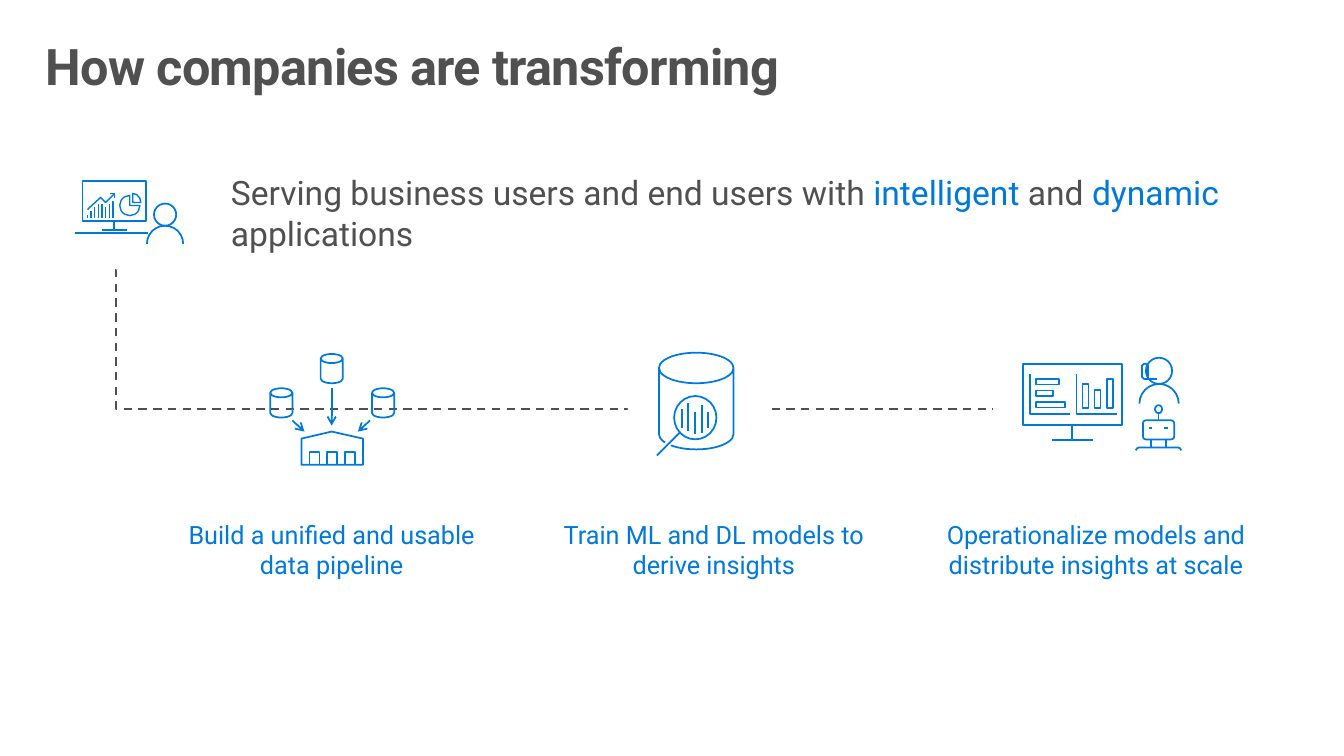
import pptx
import pptx.util
import pptx.dml.color
import pptx.enum.dml
import pptx.enum.shapes
import pptx.enum.text
import pptx.oxml
import pptx.oxml.ns
from lxml import etree

Cm = pptx.util.Cm
Pt = pptx.util.Pt
SHAPE = pptx.enum.shapes.MSO_SHAPE
CONNECTOR = pptx.enum.shapes.MSO_CONNECTOR
ALIGN = pptx.enum.text.PP_ALIGN
ANCHOR = pptx.enum.text.MSO_ANCHOR
GRAY = pptx.dml.color.RGBColor(0x50, 0x50, 0x50)
BLUE = pptx.dml.color.RGBColor(0x00, 0x78, 0xD7)
WHITE = pptx.dml.color.RGBColor(0xFF, 0xFF, 0xFF)
FONT = "Roboto"
STEP = 0.0254  # icon grid step in centimetres
RIGHT, TOP_TURN, HALF_TURN = 0, 162, 108  # preset angles


def sub(parent, tag, **attrs):
    return etree.SubElement(parent, pptx.oxml.ns.qn(tag), **attrs)


def connect(shapes, kind, start, end, color, width):
    c = shapes.add_connector(kind, *start, *end)
    c.line.color.rgb, c.line.width = color, Pt(width)
    sub(c._element.spPr, "a:effectLst")
    return c


def add_text(s, box, runs, size, anchor=ANCHOR.TOP, align=ALIGN.LEFT,
             insets=(0, 0), **formats):
    tf = s.shapes.add_textbox(*map(Cm, box)).text_frame
    mx, my = map(Cm, insets)
    frame = {"word_wrap": True, "vertical_anchor": anchor, "margin_left": mx,
             "margin_right": mx, "margin_top": my, "margin_bottom": my}
    for name, value in frame.items():
        setattr(tf, name, value)
    p = tf.paragraphs[0]
    p.alignment = align
    for text, color in runs:
        r = p.add_run()
        r.text = text
        r.font.color.rgb = color
        for name, value in {"name": FONT, "size": Pt(size), **formats}.items():
            setattr(r.font, name, value)
    return p


class Icon:
    """A group of outlines placed on a fine grid from the box corner."""

    def __init__(self, s, left, top):
        self.shapes = s.shapes.add_group_shape().shapes
        self.left, self.top = left, top

    def point(self, x, y):
        return Cm(self.left + x * STEP), Cm(self.top + y * STEP)

    def outline(self, sp, width=1.25):
        sp.shadow.inherit = False
        sp.fill.background()
        sp.line.color.rgb, sp.line.width = BLUE, Pt(width)

    def preset(self, kind, x, y, w, h, width=1.25, adjust=()):
        sp = self.shapes.add_shape(kind, *self.point(x, y), Cm(w * STEP), Cm(h * STEP))
        self.outline(sp, width)
        for i, value in enumerate(adjust):
            sp.adjustments[i] = value
        return sp

    def mask(self, x, y, w, h):
        sp = self.preset(SHAPE.RECTANGLE, x, y, w, h)
        sp.fill.solid()
        sp.fill.fore_color.rgb = WHITE
        sp.line.fill.background()
        return sp

    def strokes(self, *strokes, width=1.25):
        paths = [[self.point(*xy) for xy in stroke] for stroke in strokes]
        fb = self.shapes.build_freeform(*paths[0][0], scale=1.0)
        for i, path in enumerate(paths):
            if i:
                fb.move_to(*path[0])
            fb.add_line_segments(path[1:], close=False)
        self.outline(fb.convert_to_shape(), width)

    def line(self, start, end, arrow=False):
        c = connect(self.shapes, CONNECTOR.STRAIGHT, self.point(*start),
                    self.point(*end), BLUE, 1.25)
        if arrow:
            sub(c.line._get_or_add_ln(), "a:tailEnd", type="arrow")

    def monitor(self, x, y, w, h, neck, foot):
        mid, base = x + w / 2, y + h + neck
        self.strokes(frame(x, y, w, h), [(mid, y + h), (mid, base)],
                     [(mid - foot / 2, base), (mid + foot / 2, base)])

    def person(self, x, y, head, shoulders):
        self.preset(SHAPE.OVAL, x - head / 2, y - head, head, head)
        self.preset(SHAPE.ARC, x - shoulders / 2, y, shoulders, shoulders,
                    adjust=(HALF_TURN, RIGHT))


def frame(x, y, w, h):
    return [(x, y), (x + w, y), (x + w, y + h), (x, y + h), (x, y)]


def business_user(s, left, top):
    icon = Icon(s, left, top)
    icon.monitor(7, 0, 63, 39, 9, 25)
    tops = (33, 29, 25, 22, 22, 25, 22, 20)
    bars = [[(12 + 3.6 * i, 36), (12 + 3.6 * i, y)] for i, y in enumerate(tops)]
    icon.strokes(*bars, [(39, 12), (30, 21), (25, 16), (12, 28)],
                 [(39, 17), (39, 12), (34, 12)], width=1)
    icon.preset(SHAPE.PIE, 44, 14, 20, 20, 1, (RIGHT, TOP_TURN))
    icon.preset(SHAPE.PIE, 49, 12, 16, 18, 1, (TOP_TURN, RIGHT))
    icon.person(89, 44, 22, 36)
    icon.line((72, 51), (0, 51))


def data_pipeline(s, left, top):
    icon = Icon(s, left, top)
    doors = [[(x, 110), (x, 97), (x + 10, 97), (x + 10, 110)]
             for x in (39, 56.5, 74)]
    icon.strokes([(31, 110), (31, 84), (61, 77), (92, 84), (92, 110), (31, 110)],
                 *doors)
    for x, y in ((0, 34), (101, 34), (50, 0)):
        icon.preset(SHAPE.CAN, x, y, 22, 29, adjust=(0.41,))
    for start, end in (((61, 34), (61, 71)), ((99, 66), (87, 77)), ((22, 66), (34, 77))):
        icon.line(start, end, arrow=True)


def model_training(s, left, top):
    icon = Icon(s, left, top)
    icon.mask(0, 0, 141, 125)
    icon.preset(SHAPE.CAN, 31, 7, 74, 96, adjust=(0.41,))
    icon.mask(37, 93, 6, 9).rotation = 43.1
    icon.preset(SHAPE.OVAL, 46, 50, 42, 43)
    icon.strokes([(29, 109), (52, 86)])
    spans = ((63, 82), (57, 85), (66, 88), (59, 87), (66, 82))
    icon.strokes(*[[(53.5 + 6.6 * i, a), (53.5 + 6.6 * i, b)]
                   for i, (a, b) in enumerate(spans)])


def insight_delivery(s, left, top):
    icon = Icon(s, left, top)
    icon.mask(0, 0, 195, 125)
    # Robot
    icon.preset(SHAPE.OVAL, 157, 59, 7, 8)
    icon.preset(SHAPE.ROUNDED_RECTANGLE, 145, 74, 31, 19, adjust=(0.16,))
    icon.strokes([(138, 104), (139, 102), (141, 101), (180, 101), (182, 102), (183, 104)],
                 [(160.5, 67), (160.5, 74)], [(153, 93), (153, 101)],
                 [(168, 93), (168, 101)], [(151, 82), (154, 82)], [(166, 82), (170, 82)])
    # Agent with headset
    icon.person(161, 38, 26, 39)
    icon.strokes([(150, 33), (150, 20), (148, 18), (146, 18), (144, 20),
                  (144, 31), (146, 33), (159, 33)])
    # Dashboard
    icon.monitor(26, 18, 98, 61, 15, 40)
    rows = [frame(39, 33 + 11.5 * i, w, 5.5) for i, w in enumerate((23, 17, 29))]
    columns = [frame(85 + 12 * i, 62 - h, 6, h) for i, h in enumerate((24, 18, 29))]
    for x, bars in ((33, rows), (79, columns)):
        icon.strokes([(x, 28), (x, 68), (x + 40, 68)], *bars)


def dashed_path(s, left, top, width, height):
    c = connect(s.shapes, CONNECTOR.ELBOW, (Cm(left), Cm(top)),
                (Cm(left + width), Cm(top + height)), GRAY, 1.5)
    c.line.dash_style = pptx.enum.dml.MSO_LINE.DASH
    geom = c._element.spPr.find(pptx.oxml.ns.qn("a:prstGeom"))
    guides = geom.find(pptx.oxml.ns.qn("a:avLst"))
    if guides is None:
        guides = sub(geom, "a:avLst")
    sub(guides, "a:gd", name="adj1", fmla="val 100")


def header(s, box):
    p = add_text(s, box, [("How companies are transforming", GRAY)], 36,
                 insets=(0.41, 0.25), bold=True)
    p.line_spacing = 0.9
    p.runs[0].font._element.set("spc", "-50")


def steps(s, left, top, pitch):
    captions = ("Build a unified and usable data pipeline",
                "Train ML and DL models to derive insights",
                "Operationalize models and distribute insights at scale")
    for i, caption in enumerate(captions):
        add_text(s, (left + i * pitch, top, 7.98, 3.45), [(caption, BLUE)], 18,
                 align=ALIGN.CENTER)


def main():
    prs = pptx.Presentation()
    prs.slide_width, prs.slide_height = Cm(33.87), Cm(19.05)
    s = prs.slides.add_slide(prs.slide_layouts[6])
    dashed_path(s, 2.91, 6.8, 22.1, 3.5)
    header(s, (0.74, 0.81, 32.39, 2.49))
    steps(s, 4.37, 13.08, 9.63)
    add_text(s, (5.82, 4.19, 25.78, 2.34),
             [("Serving business users and end users with ", GRAY),
              ("intelligent ", BLUE), ("and ", GRAY),
              ("dynamic ", BLUE), ("applications", GRAY)], 24, ANCHOR.MIDDLE)
    # Icons
    business_user(s, 1.9, 4.57)
    data_pipeline(s, 6.81, 8.92)
    model_training(s, 15.82, 8.71)
    insight_delivery(s, 25.12, 8.71)
    prs.save("out.pptx")


if __name__ == "__main__":
    main()
